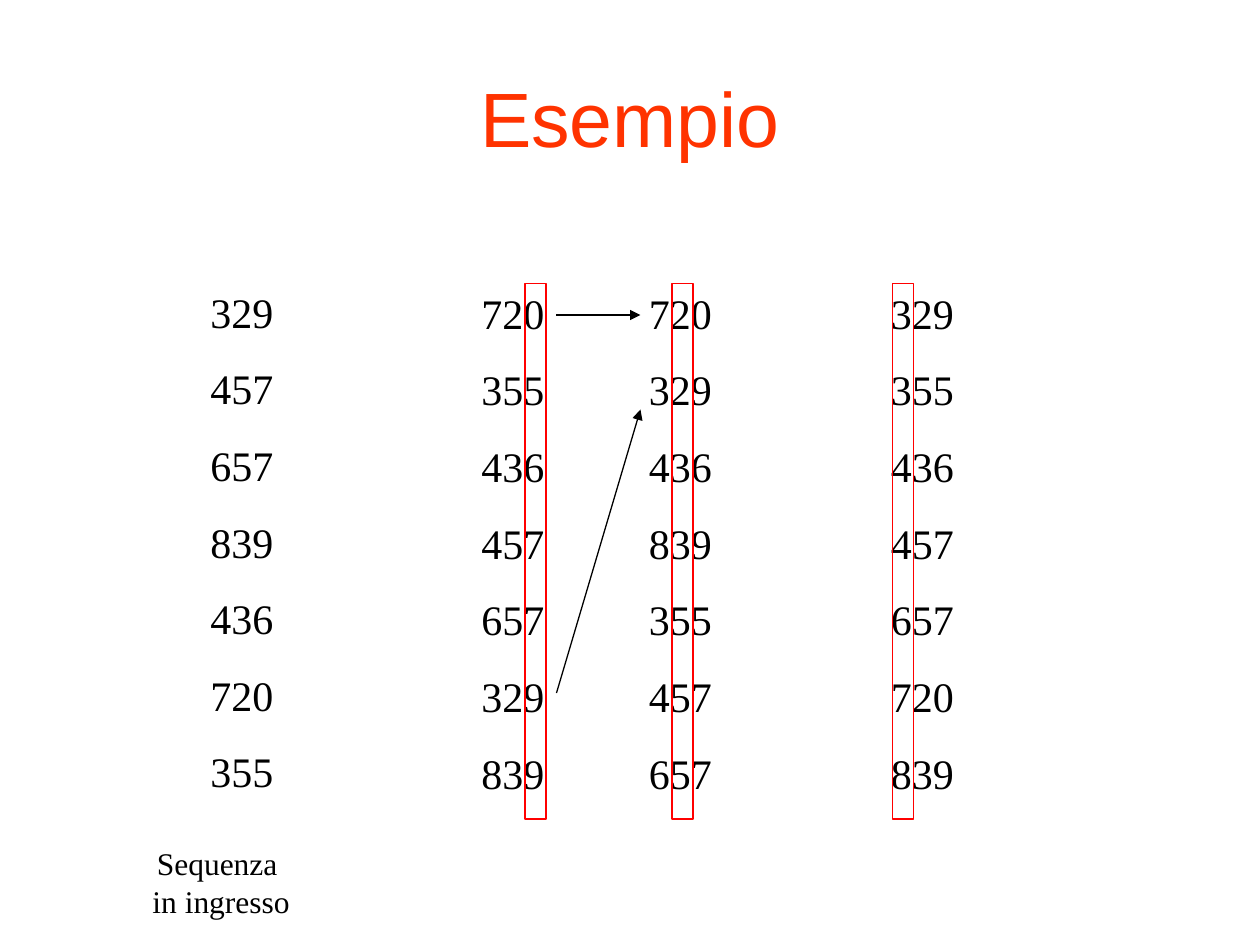
from dataclasses import dataclass

from lxml import etree
from pptx import Presentation
from pptx.dml.color import RGBColor
from pptx.enum.shapes import MSO_CONNECTOR, MSO_SHAPE
from pptx.enum.text import MSO_ANCHOR, MSO_AUTO_SIZE, PP_ALIGN
from pptx.oxml.ns import qn
from pptx.util import Inches, Pt

CENTER = PP_ALIGN.CENTER
MIDDLE = MSO_ANCHOR.MIDDLE
FIT_SHAPE = MSO_AUTO_SIZE.SHAPE_TO_FIT_TEXT
NO_FIT = MSO_AUTO_SIZE.NONE
RECT = MSO_SHAPE.RECTANGLE
STRAIGHT = MSO_CONNECTOR.STRAIGHT

TITLE_ONLY = 5
COLS, ROWS = 120, 90
LIST_W, LIST_H = 8.4, 49.8
MARK_TOP, MARK_W, MARK_H = 27, 2, 51

SEQUENCES = [
    (18.84, 26.64, "329 457 657 839 436 720 355"),
    (44.64, 26.76, "720 355 436 457 657 329 839"),
    (60.6, 26.76, "720 329 436 839 355 457 657"),
    (83.64, 26.76, "329 355 436 457 657 720 839"),
]
DIGIT_MARKS = [50, 64, 85]
MOVES = [((53, 30), (61, 30)), ((53, 66), (61, 39))]


@dataclass(frozen=True)
class Theme:
    """Colours, fonts and sizes of the slide."""
    title: RGBColor = RGBColor(0xFF, 0x33, 0x00)
    ink: RGBColor = RGBColor(0x00, 0x00, 0x00)
    mark: RGBColor = RGBColor(0xFF, 0x00, 0x00)
    title_font: str = "Arial"
    body_font: str = "Times New Roman"
    title_size: int = 44
    number_size: int = 24
    caption_size: int = 18
    number_gap: int = 15
    line_width: float = 0.75


class Canvas:
    """Draws themed elements on one slide, placed by grid columns and rows."""

    def __init__(self, prs, theme):
        """Add a title-only slide and set up the grid."""
        self.theme = theme
        self.slide = prs.slides.add_slide(prs.slide_layouts[TITLE_ONLY])
        self.col = prs.slide_width / COLS
        self.row = prs.slide_height / ROWS

    def at(self, x, y):
        """Turn columns and rows into slide lengths."""
        return round(x * self.col), round(y * self.row)

    def style(self, p, font, size, color, gap=0):
        """Format one centred paragraph."""
        p.alignment = CENTER
        p.space_before = Pt(gap)
        p.font.name = font
        p.font.size = Pt(size)
        p.font.color.rgb = color

    def title(self, text, x, y, w, h):
        """Place and format the title placeholder."""
        sp = self.slide.shapes.title
        sp.left, sp.top = self.at(x, y)
        sp.width, sp.height = self.at(w, h)
        tf = sp.text_frame
        tf.text = text
        tf.vertical_anchor = MIDDLE
        tf.auto_size = NO_FIT
        t = self.theme
        self.style(tf.paragraphs[0], t.title_font, t.title_size, t.title)

    def lines(self, texts, x, y, w, h, size, gap=0):
        """Add a text box with one centred paragraph per text."""
        sp = self.slide.shapes.add_textbox(*self.at(x, y), *self.at(w, h))
        tf = sp.text_frame
        tf.word_wrap = False
        tf.auto_size = FIT_SHAPE
        tf.vertical_anchor = MIDDLE
        tf.text = "\n".join(texts)
        for p in tf.paragraphs:
            self.style(p, self.theme.body_font, size, self.theme.ink, gap)

    def frame(self, x, y, w, h):
        """Outline a column of digits."""
        sp = self.slide.shapes.add_shape(RECT, *self.at(x, y), *self.at(w, h))
        sp.shadow.inherit = False
        sp.fill.background()
        sp.line.color.rgb = self.theme.mark
        sp.line.width = Pt(self.theme.line_width)

    def arrow(self, start, end):
        """Draw a straight arrow between two grid points."""
        sp = self.slide.shapes.add_connector(STRAIGHT, *self.at(*start), *self.at(*end))
        sp.line.color.rgb = self.theme.ink
        sp.line.width = Pt(self.theme.line_width)
        etree.SubElement(sp.line._get_or_add_ln(), qn("a:tailEnd"), type="triangle")
        etree.SubElement(sp._element.spPr, qn("a:effectLst"))


def main():
    """Build and save the sorting example."""
    prs = Presentation()
    prs.slide_width, prs.slide_height = Inches(10), Inches(7.5)
    theme = Theme()
    s = Canvas(prs, theme)
    s.title("Esempio", 6, 3.6, 108, 15)
    for x, y, numbers in SEQUENCES:
        s.lines(numbers.split(), x, y, LIST_W, LIST_H, theme.number_size, theme.number_gap)
    s.lines(["Sequenza ", "in ingresso"], 13.32, 79.8, 15.48, 8.4, theme.caption_size)
    for x in DIGIT_MARKS:
        s.frame(x, MARK_TOP, MARK_W, MARK_H)
    for start, end in MOVES:
        s.arrow(start, end)
    prs.save("out.pptx")


if __name__ == "__main__":
    main()
